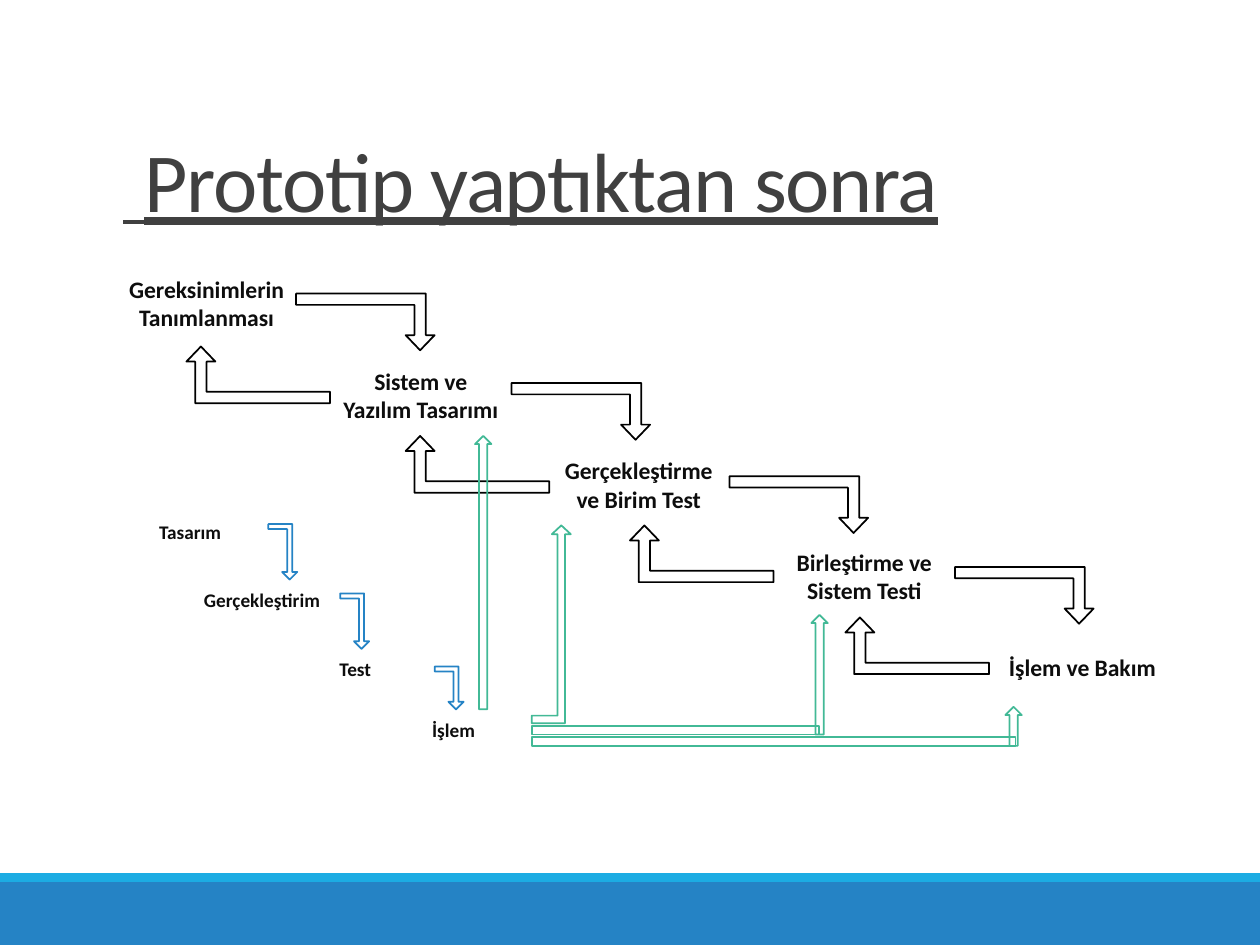
from pptx import Presentation
from pptx.dml.color import RGBColor
from pptx.enum.shapes import MSO_SHAPE as Shape
from pptx.enum.text import MSO_ANCHOR as Anchor, PP_ALIGN as Align
from pptx.util import Inches, Pt

COLORS = {
    "title": "404040", "label": "0D0D0D", "stage": "000000",
    "prototype": "2583C5", "feedback": "42B996",
    "footer": "2583C5", "footer_edge": "1CACE3",
}


def rgb(name):
    return RGBColor.from_string(COLORS[name])


def outline(shape, color):
    """Leave the shape hollow with a thin line."""
    shape.shadow.inherit = False
    shape.fill.background()
    shape.line.color.rgb = rgb(color)
    shape.line.width = Pt(1)


def clear_frame(frame):
    frame.margin_left = frame.margin_top = 0
    frame.margin_right = frame.margin_bottom = 0
    frame.vertical_anchor = Anchor.TOP


def add_label(slide, text, center, top, size, width=1.6):
    lines = text.split("\n")
    box = slide.shapes.add_textbox(Inches(center - width / 2), Inches(top),
                                   Inches(width), Inches(len(lines) * size / 59))
    frame = box.text_frame
    clear_frame(frame)
    frame.word_wrap = True
    frame.text = text
    for paragraph in frame.paragraphs:
        paragraph.alignment = Align.CENTER
        font = paragraph.font
        font.name, font.size, font.bold = "Calibri", Pt(size), True
        font.color.rgb = rgb("label")


def bent_arrow(slide, box, stem, head, tip, color, flip_x=False, flip_y=False):
    """Arrow going right, then down; the flips mirror it inside its box."""
    left, top, width, height = box
    overhang = (head - stem) / 2
    outer, neck = width - overhang, height - tip
    inner = outer - stem
    corners = [(0, stem), (inner, stem), (inner, neck), (width - head, neck),
               (width - head / 2, height), (width, neck), (outer, neck),
               (outer, 0), (0, 0)]
    points = [(Inches(left + (width - x if flip_x else x)),
               Inches(top + (height - y if flip_y else y))) for x, y in corners]
    builder = slide.shapes.build_freeform(*points[0])
    builder.add_line_segments(points[1:], close=True)
    outline(builder.convert_to_shape(), color)


def add_title(slide, left, top, width, height):
    title = slide.shapes.title
    title.left, title.top = Inches(left), Inches(top)
    title.width, title.height = Inches(width), Inches(height)
    frame = title.text_frame
    clear_frame(frame)
    frame.margin_left, frame.margin_top = Inches(0.15), Inches(0.02)
    paragraph = frame.paragraphs[0]
    paragraph.alignment = Align.LEFT
    paragraph.font.size, paragraph.font.underline = Pt(48), True
    paragraph.font.color.rgb = rgb("title")
    for text, name, spacing in ((" ", "Times New Roman", 0),
                                ("Prototip yaptıktan sonra", "Calibri", -75)):
        run = paragraph.add_run()
        run.text = text
        run.font.name = name
        run._r.get_or_add_rPr().set("spc", str(spacing))


def add_stages(slide, left, top):
    """Main stages, with arrows forward and back."""
    stages = [("Gereksinimlerin\nTanımlanması", 0.64, 0.03),
              ("Sistem ve\nYazılım Tasarımı", 2.34, 0.76),
              ("Gerçekleştirme\nve Birim Test", 4.07, 1.47),
              ("Birleştirme ve\nSistem Testi", 5.86, 2.2),
              ("İşlem ve Bakım", 7.59, 3.03)]
    for text, x, y in stages:
        add_label(slide, text, left + x, top + y, 13.5)
    for x, y in ((1.35, 0.18), (3.06, 0.89), (4.79, 1.63), (6.58, 2.35)):
        bent_arrow(slide, (left + x, top + y, 1.1, 0.45), 0.09, 0.23, 0.12, "stage")
    for x, y in ((0.48, 0.6), (2.22, 1.31), (4, 2.02), (5.71, 2.75)):
        bent_arrow(slide, (left + x, top + y, 1.14, 0.45), 0.09, 0.23, 0.12,
                   "stage", flip_x=True, flip_y=True)


def add_prototype(slide, left, top):
    """Small steps of the prototype."""
    steps = [("Tasarım", 0.31, 0.03), ("Gerçekleştirim", 0.88, 0.57),
             ("Test", 1.62, 1.12), ("İşlem", 2.4, 1.6)]
    for text, x, y in steps:
        add_label(slide, text, left + x, top + y, 11)
    for x, y, height in ((0.93, 0.06, 0.44), (1.5, 0.61, 0.44), (2.25, 1.19, 0.34)):
        bent_arrow(slide, (left + x, top + y, 0.23, height), 0.04, 0.12, 0.06,
                   "prototype")


def add_feedback(slide, left, top):
    """Paths from the prototype back to the main stages."""
    bent_arrow(slide, (left + 0.45, top + 0.71, 0.31, 1.57), 0.06, 0.15, 0.07,
               "feedback", flip_y=True)
    for y, width in ((2.3, 2.28), (2.39, 3.84)):
        bar = slide.shapes.add_shape(Shape.RECTANGLE, Inches(left + 0.45),
                                     Inches(top + y), Inches(width), Inches(0.07))
        outline(bar, "feedback")
    for x, y, height in ((0, 0, 2.17), (2.67, 1.42, 0.95), (4.21, 2.15, 0.31)):
        arrow = slide.shapes.add_shape(Shape.UP_ARROW, Inches(left + x),
                                       Inches(top + y), Inches(0.13), Inches(height))
        outline(arrow, "feedback")


def add_footer(slide, left, top, width):
    for y, height, color in ((0.07, 0.5, "footer"), (0, 0.07, "footer_edge")):
        band = slide.shapes.add_shape(Shape.RECTANGLE, Inches(left), Inches(top + y),
                                      Inches(width), Inches(height))
        band.shadow.inherit = False
        band.fill.solid()
        band.fill.fore_color.rgb = rgb(color)
        band.line.fill.background()


def main():
    prs = Presentation()
    prs.slide_width, prs.slide_height = Inches(10), Inches(7.5)
    slide = prs.slides.add_slide(prs.slide_layouts[5])
    add_footer(slide, 0, 6.93, 10)
    add_title(slide, 0.83, 1, 8.34, 0.83)
    add_stages(slide, 1, 2.15)
    add_prototype(slide, 1.2, 4.1)
    add_feedback(slide, 3.77, 3.46)
    prs.save("out.pptx")


if __name__ == "__main__":
    main()
